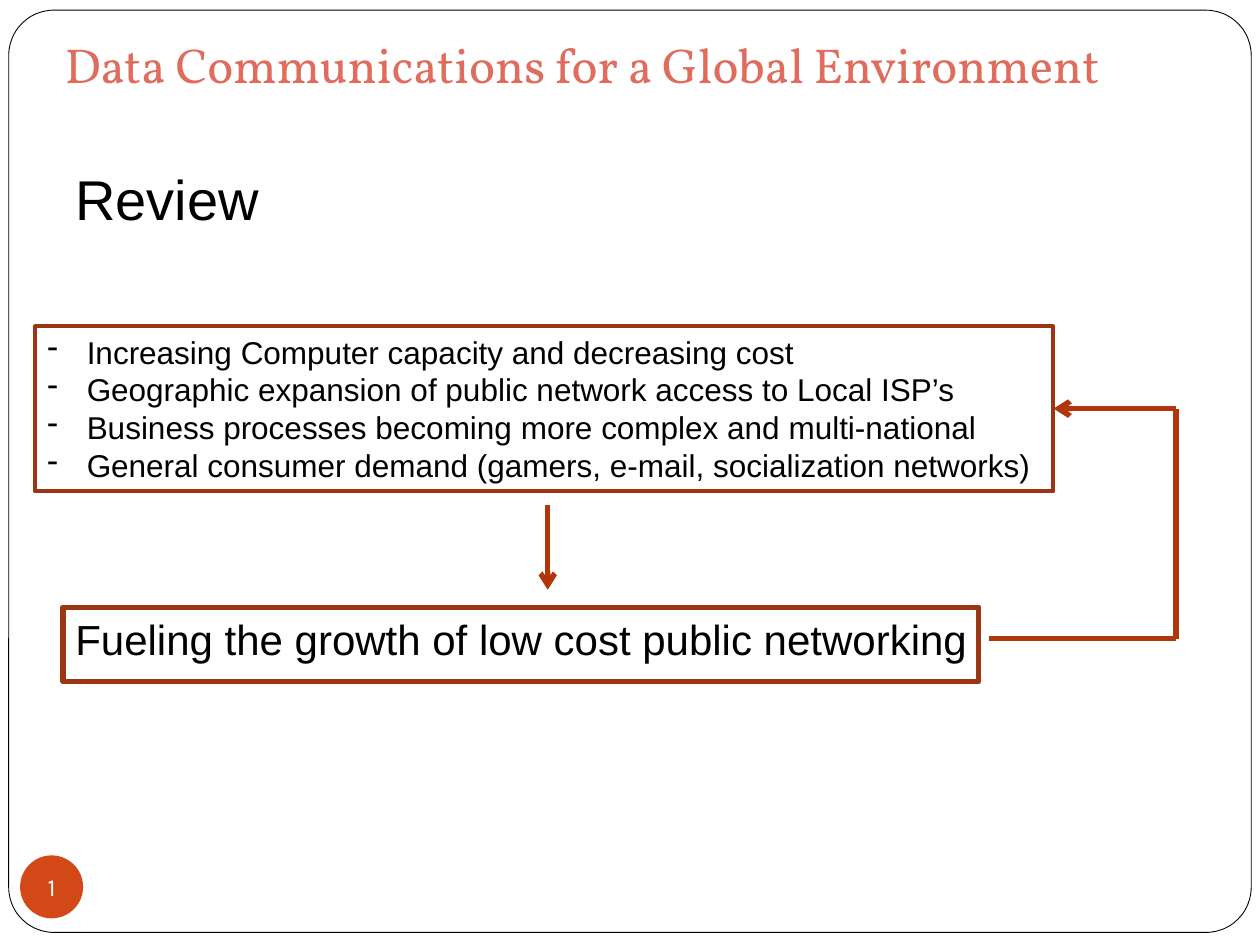
from itertools import pairwise

from lxml.etree import SubElement
from pptx import Presentation
from pptx.dml.color import RGBColor
from pptx.enum.shapes import MSO_CONNECTOR as Connector, MSO_SHAPE as Preset
from pptx.enum.text import MSO_ANCHOR as Anchor, PP_ALIGN as Align
from pptx.oxml.ns import qn
from pptx.util import Pt

COLOURS = {
    "paper": "FFFFFF",
    "ink": "000000",
    "title": "DF6C5D",
    "badge": "D34817",
    "frame": "9C3511",
    "arrow": "B1360B",
}
DRIVERS = [
    "Increasing Computer capacity and decreasing cost ",
    "Geographic expansion of public network access to Local ISP’s",
    "Business processes becoming more complex and multi-national",
    "General consumer demand (gamers, e-mail, socialization networks)",
]


def colour(name):
    """Return the named colour."""
    return RGBColor.from_string(COLOURS[name])


def set_all(target, values):
    """Set every attribute in a dict of format values."""
    for name, value in values.items():
        setattr(target, name, value)


def add_outline(slide, preset, box, fill=None, line=None, width=0):
    """Add a flat preset shape with an optional fill and line."""
    shape = slide.shapes.add_shape(preset, *map(Pt, box))
    shape.shadow.inherit = False
    if fill:
        shape.fill.solid()
        shape.fill.fore_color.rgb = colour(fill)
    else:
        shape.fill.background()
    if line:
        shape.line.color.rgb = colour(line)
        shape.line.width = Pt(width)
    else:
        shape.line.fill.background()
    return shape


def write(shape, lines, font, size, ink="ink", align=Align.LEFT, **frame):
    """Write lines of text into a shape with one font."""
    set_all(shape.text_frame, frame)
    shape.text_frame.text = "\n".join(lines)
    for paragraph in shape.text_frame.paragraphs:
        paragraph.alignment = align
        set_all(paragraph.runs[0].font, {"name": font, "size": Pt(size)})
        paragraph.runs[0].font.color.rgb = colour(ink)


def add_text(slide, box, lines, font, size, ink="ink", **frame):
    """Add a text box."""
    shape = slide.shapes.add_textbox(*map(Pt, box))
    write(shape, lines, font, size, ink, **frame)
    return shape


def add_dashes(shape, indent):
    """Give every paragraph a hanging dash."""
    for paragraph in shape.text_frame.paragraphs:
        properties = paragraph._p.get_or_add_pPr()
        properties.set("marL", str(Pt(indent)))
        properties.set("indent", str(-Pt(indent)))
        SubElement(properties, qn("a:buChar")).set("char", "-")


def add_route(slide, points):
    """Draw straight lines through the points, with an arrowhead at the end."""
    for start, end in pairwise(points):
        connector = slide.shapes.add_connector(
            Connector.STRAIGHT, *map(Pt, (*start, *end)))
        connector.line.color.rgb = colour("arrow")
        connector.line.width = Pt(3)
        if end == points[-1]:
            SubElement(connector.line._get_or_add_ln(), qn("a:tailEnd")).set("type", "arrow")
        SubElement(connector._element.spPr, qn("a:effectLst"))


def add_backdrop(slide, left, top, width, height):
    """Place the rounded page border and the number badge."""
    border = add_outline(slide, Preset.ROUNDED_RECTANGLE,
                         (left, top, width, height), "paper", "ink", 0.5)
    border.adjustments[0] = 0.049
    badge = add_outline(slide, Preset.OVAL,
                        (left + 6.5, top + height - 44, 36, 36), "badge")
    write(badge, ["1"], "Karla", 14, "paper", Align.CENTER, word_wrap=False,
          vertical_anchor=Anchor.MIDDLE, margin_left=0, margin_right=0,
          margin_top=0, margin_bottom=0)


def add_headings(slide, left, top, width):
    """Place the slide title and the section heading."""
    add_text(slide, (left, top, width, 48.5),
             ["Data Communications for a Global Environment"], "Vollkorn", 28,
             "title", word_wrap=True, vertical_anchor=Anchor.BOTTOM,
             margin_bottom=Pt(7.2))
    add_text(slide, (left + 6, top + 78.5, 129.6, 46), ["Review "],
             "Arial", 32, word_wrap=False)


def add_cycle(slide, left, top, width):
    """Place the drivers, their result and the feedback loop."""
    right, loop = left + width, left + width + 70
    middle, result_top = top + 47, top + 160.5
    result_middle = result_top + 18
    drivers = add_text(slide, (left, top, width, 116.6), DRIVERS, "Arial", 18,
                       word_wrap=False)
    add_dashes(drivers, 22.5)
    add_text(slide, (left + 16, result_top, 529, 36),
             ["Fueling the growth of low cost public networking"],
             "Arial", 24, word_wrap=False)
    add_route(slide, [(left + 293, top + 102), (left + 293, top + 150.5)])
    add_outline(slide, Preset.RECTANGLE, (left, top, width, 94.3),
                line="frame", width=2.25)
    add_outline(slide, Preset.RECTANGLE, (left + 16, result_top, 523.4, 42.5),
                line="frame", width=3)
    add_route(slide, [(left + 545, result_middle), (loop, result_middle),
                      (loop, middle), (right, middle)])


def build():
    """Build and save the presentation."""
    presentation = Presentation()
    set_all(presentation, {"slide_width": Pt(720), "slide_height": Pt(540)})
    slide = presentation.slides.add_slide(presentation.slide_layouts[6])
    add_backdrop(slide, 5, 5.8, 710, 527)
    add_headings(slide, 30, 12.2, 648)
    add_cycle(slide, 20, 186.5, 582)
    presentation.save("out.pptx")


build()
